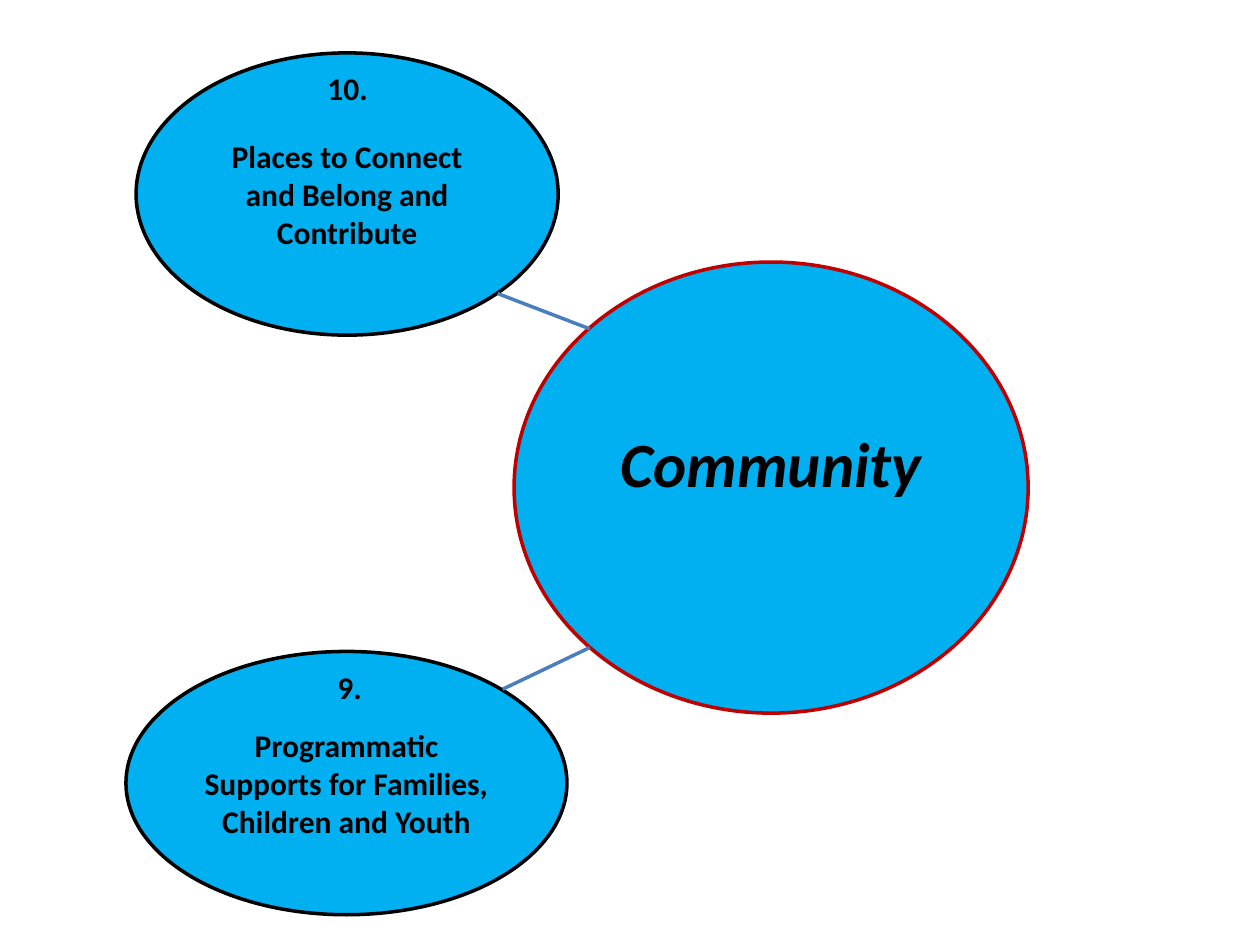
from dataclasses import dataclass

from lxml.etree import SubElement
from pptx import Presentation
from pptx.dml.color import RGBColor
from pptx.enum.shapes import MSO_CONNECTOR, MSO_SHAPE
from pptx.enum.text import MSO_ANCHOR, MSO_AUTO_SIZE, PP_ALIGN
from pptx.oxml.ns import qn
from pptx.slide import Slide
from pptx.text.text import TextFrame
from pptx.util import Inches, Pt

BLACK = "000000"
SKY_BLUE = "00B0F0"
RED = "C00000"
LINK_BLUE = "4B7EBC"
LINE_WIDTH = Pt(2)


@dataclass
class Bubble:
    text: str
    left: float
    top: float
    width: float
    height: float
    outline: str = BLACK
    size: int = 18
    italic: bool = False
    bottom_inset: float = 0.05


@dataclass
class NumberLabel:
    text: str
    left: float
    top: float
    width: float


@dataclass
class Link:
    start: tuple[float, float]
    end: tuple[float, float]


BUBBLES = [
    # The deeper bottom inset lifts the central word above the middle
    Bubble("Community", 4.08, 2.08, 4.08, 3.58, RED, 36, True, 0.45),
    Bubble("Programmatic Supports for Families, Children and Youth",
           1, 5.17, 3.5, 2.09),
    Bubble("Places to Connect and Belong and Contribute",
           1.08, 0.42, 3.35, 2.24),
]
LABELS = [NumberLabel("9.", 2.58, 5.25, 0.69), NumberLabel("10.", 2.5, 0.5, 0.92)]
LINKS = [Link((4.68, 5.14), (3.99, 5.47)), Link((3.95, 2.33), (4.68, 2.61))]


def color(value: str) -> RGBColor:
    return RGBColor.from_string(value)


def write_text(frame: TextFrame, text: str, size: int, italic: bool = False) -> None:
    frame.word_wrap = True
    paragraph = frame.paragraphs[0]
    paragraph.text = text
    font = paragraph.font
    font.name = "Calibri"
    font.size = Pt(size)
    font.bold = True
    font.italic = italic
    font.color.rgb = color(BLACK)


def draw_bubble(slide: Slide, bubble: Bubble) -> None:
    shape = slide.shapes.add_shape(
        MSO_SHAPE.OVAL, Inches(bubble.left), Inches(bubble.top),
        Inches(bubble.width), Inches(bubble.height))
    shape.shadow.inherit = False
    shape.fill.solid()
    shape.fill.fore_color.rgb = color(SKY_BLUE)
    shape.line.color.rgb = color(bubble.outline)
    shape.line.width = LINE_WIDTH
    frame = shape.text_frame
    frame.vertical_anchor = MSO_ANCHOR.MIDDLE
    frame.margin_bottom = Inches(bubble.bottom_inset)
    write_text(frame, bubble.text, bubble.size, bubble.italic)
    frame.paragraphs[0].alignment = PP_ALIGN.CENTER


def draw_label(slide: Slide, label: NumberLabel) -> None:
    box = slide.shapes.add_textbox(
        Inches(label.left), Inches(label.top), Inches(label.width), Inches(0.4))
    box.text_frame.auto_size = MSO_AUTO_SIZE.SHAPE_TO_FIT_TEXT
    write_text(box.text_frame, label.text, 18)


def draw_link(slide: Slide, link: Link) -> None:
    points = [Inches(value) for value in (*link.start, *link.end)]
    connector = slide.shapes.add_connector(MSO_CONNECTOR.STRAIGHT, *points)
    connector.line.color.rgb = color(LINK_BLUE)
    connector.line.width = LINE_WIDTH
    # An empty effect list switches the theme shadow off
    SubElement(connector._element.spPr, qn("a:effectLst"))


def main() -> None:
    presentation = Presentation()
    presentation.slide_width = Inches(10)
    presentation.slide_height = Inches(7.5)
    slide = presentation.slides.add_slide(presentation.slide_layouts[6])

    # Bubbles first, then their numbers and the links to the centre
    for bubble in BUBBLES:
        draw_bubble(slide, bubble)
    for label in LABELS:
        draw_label(slide, label)
    for link in LINKS:
        draw_link(slide, link)

    presentation.save("out.pptx")


if __name__ == "__main__":
    main()
